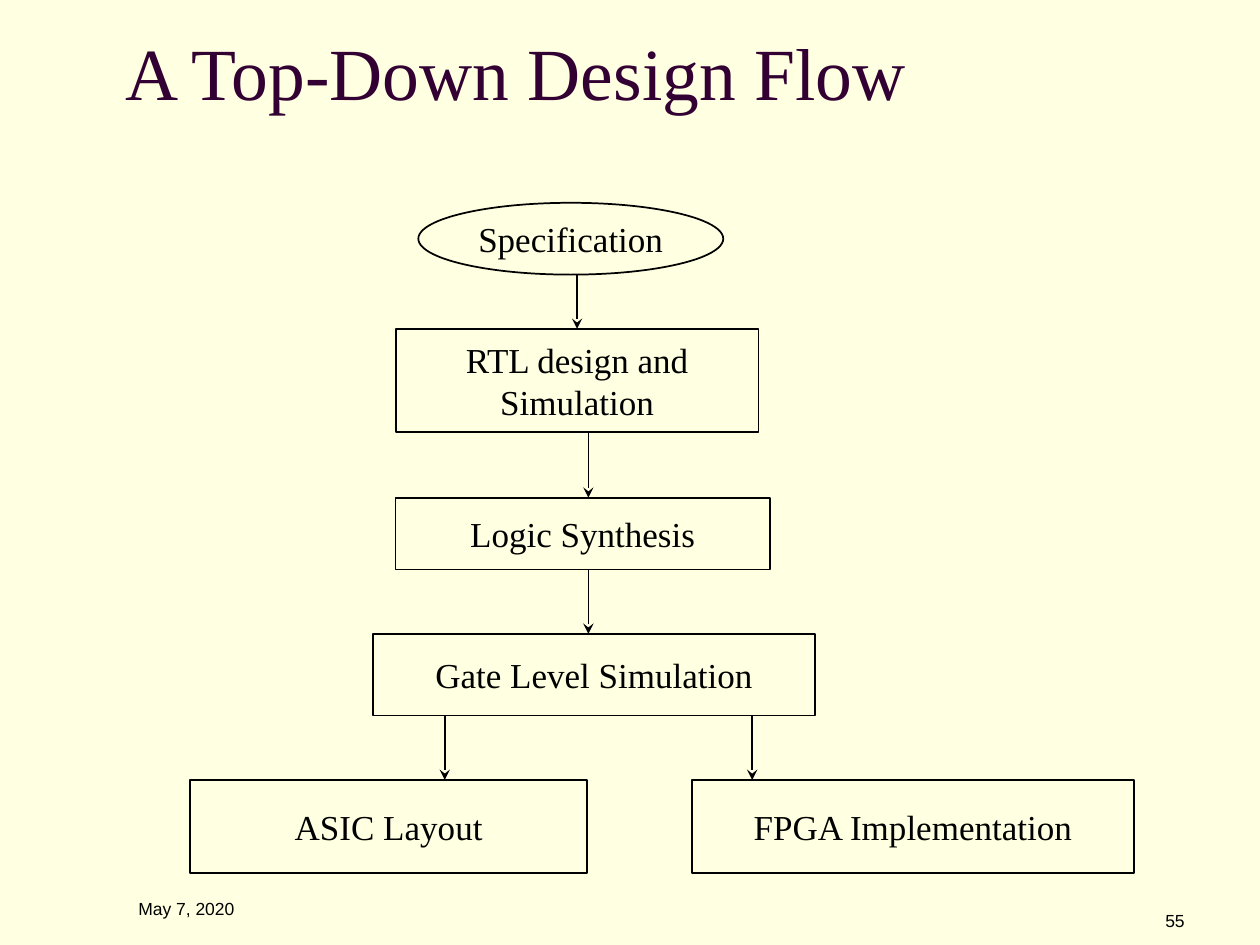
from lxml.etree import SubElement
from pptx import Presentation
from pptx.dml.color import RGBColor
from pptx.enum.shapes import MSO_CONNECTOR, MSO_SHAPE
from pptx.enum.text import MSO_ANCHOR, PP_ALIGN
from pptx.oxml.ns import qn
from pptx.util import Inches, Pt

COLORS = {"background": "FFFFE1", "title": "330033", "ink": "000000"}
SERIF, SANS = "Times New Roman", "Arial"

# name: (shape, left, top, width, height, lines)
STEPS = {
    "spec": (MSO_SHAPE.OVAL, 3.32, 1.61, 2.42, 0.57, ["Specification"]),
    "rtl": (MSO_SHAPE.RECTANGLE, 3.14, 2.61, 2.88, 0.82, ["RTL design and", "Simulation"]),
    "synthesis": (MSO_SHAPE.RECTANGLE, 3.14, 3.95, 2.97, 0.57, ["Logic Synthesis"]),
    "gate": (MSO_SHAPE.RECTANGLE, 2.96, 5.03, 3.51, 0.65, ["Gate Level Simulation"]),
    "asic": (MSO_SHAPE.RECTANGLE, 1.51, 6.19, 3.15, 0.74, ["ASIC Layout"]),
    "fpga": (MSO_SHAPE.RECTANGLE, 5.49, 6.19, 3.51, 0.74, ["FPGA Implementation"]),
}
# from, to, x
FLOWS = [
    ("spec", "rtl", 4.58),
    ("rtl", "synthesis", 4.67),
    ("synthesis", "gate", 4.67),
    ("gate", "asic", 3.53),
    ("gate", "fpga", 5.97),
]


def color(name):
    return RGBColor.from_string(COLORS[name])


def write(tf, lines, font, size, ink="ink", align=PP_ALIGN.LEFT):
    for i, line in enumerate(lines):
        p = tf.paragraphs[0] if i == 0 else tf.add_paragraph()
        p.alignment = align
        r = p.add_run()
        r.text = line
        r.font.name, r.font.size = font, Pt(size)
        r.font.color.rgb = color(ink)


def add_text_box(s, box):
    tf = s.shapes.add_textbox(*map(Inches, box)).text_frame
    tf.word_wrap = True
    return tf


def add_title(s, box, text):
    tf = add_text_box(s, box)
    tf.vertical_anchor = MSO_ANCHOR.MIDDLE
    tf.margin_left = tf.margin_right = tf.margin_top = tf.margin_bottom = 0
    write(tf, [text], SERIF, 42, "title")


def add_footer(s, box, text, align):
    write(add_text_box(s, box), [text], SANS, 10, align=align)


def add_step(s, kind, box, lines):
    sp = s.shapes.add_shape(kind, *map(Inches, box))
    sp.shadow.inherit = False
    sp.fill.background()
    sp.line.color.rgb = color("ink")
    sp.line.width = Pt(1)
    tf = sp.text_frame
    tf.word_wrap = False
    tf.vertical_anchor = MSO_ANCHOR.MIDDLE
    write(tf, lines, SERIF, 20, align=PP_ALIGN.CENTER)
    return sp


def add_arrow(s, source, target, x):
    """Drop a vertical arrow at x, joined wherever x is the middle of a side."""
    x = Inches(x)
    c = s.shapes.add_connector(
        MSO_CONNECTOR.STRAIGHT, x, source.top + source.height, x, target.top)
    c.line.color.rgb = color("ink")
    c.line.width = Pt(1)
    SubElement(c.line._get_or_add_ln(), qn("a:tailEnd"), type="stealth")
    SubElement(c._element.spPr, qn("a:effectLst"))
    near = Inches(0.01)
    if abs(source.left + source.width // 2 - x) < near:
        c.begin_connect(source, 2)
    if abs(target.left + target.width // 2 - x) < near:
        c.end_connect(target, 0)


def add_flowchart(s):
    shapes = {name: add_step(s, kind, box, lines)
              for name, (kind, *box, lines) in STEPS.items()}
    for source, target, x in FLOWS:
        add_arrow(s, shapes[source], shapes[target], x)


def main():
    prs = Presentation()
    prs.slide_width, prs.slide_height = Inches(10), Inches(7.5)
    s = prs.slides.add_slide(prs.slide_layouts[6])
    s.background.fill.solid()
    s.background.fill.fore_color.rgb = color("background")
    add_footer(s, (1, 7.08, 2.17, 0.25), "May 7, 2020", PP_ALIGN.LEFT)
    add_footer(s, (7.42, 7.17, 2.08, 0.17), "55", PP_ALIGN.RIGHT)
    add_title(s, (1, 0.17, 8.5, 0.78), "A Top-Down Design Flow")
    add_flowchart(s)
    prs.save("out.pptx")


if __name__ == "__main__":
    main()
